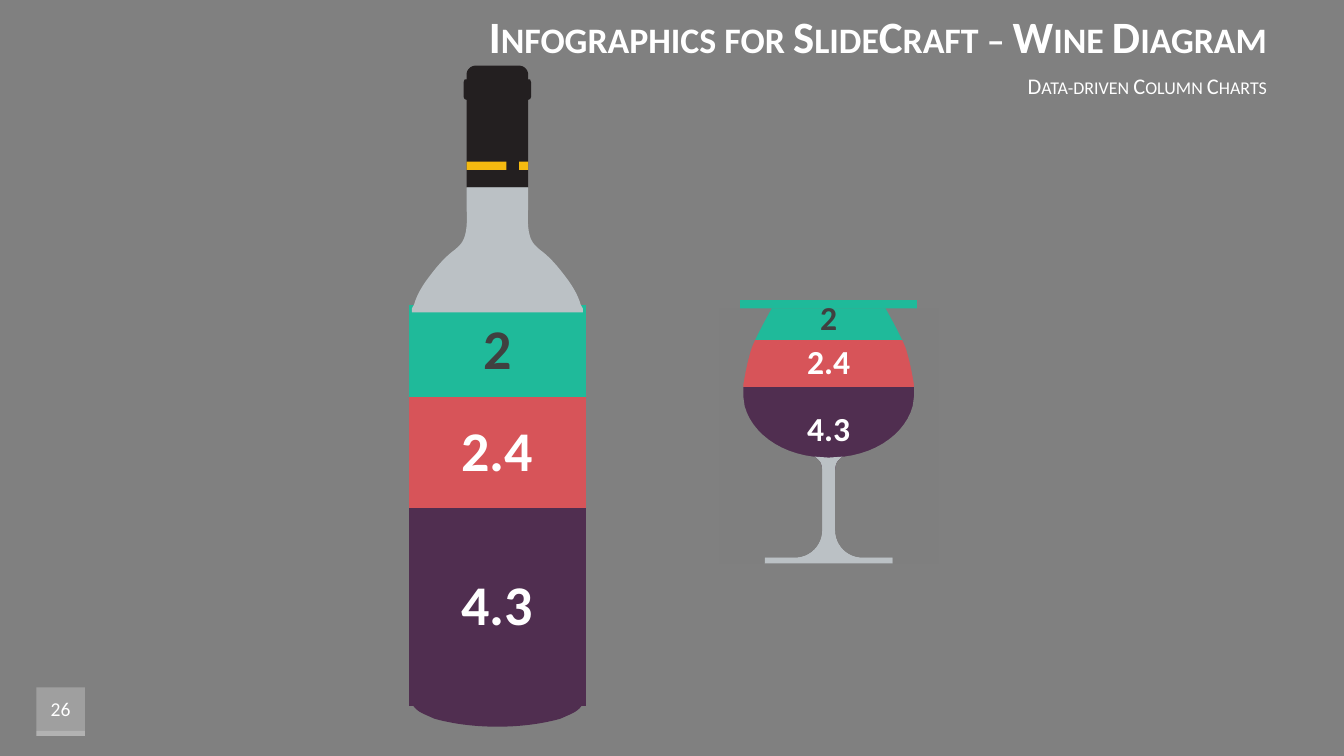
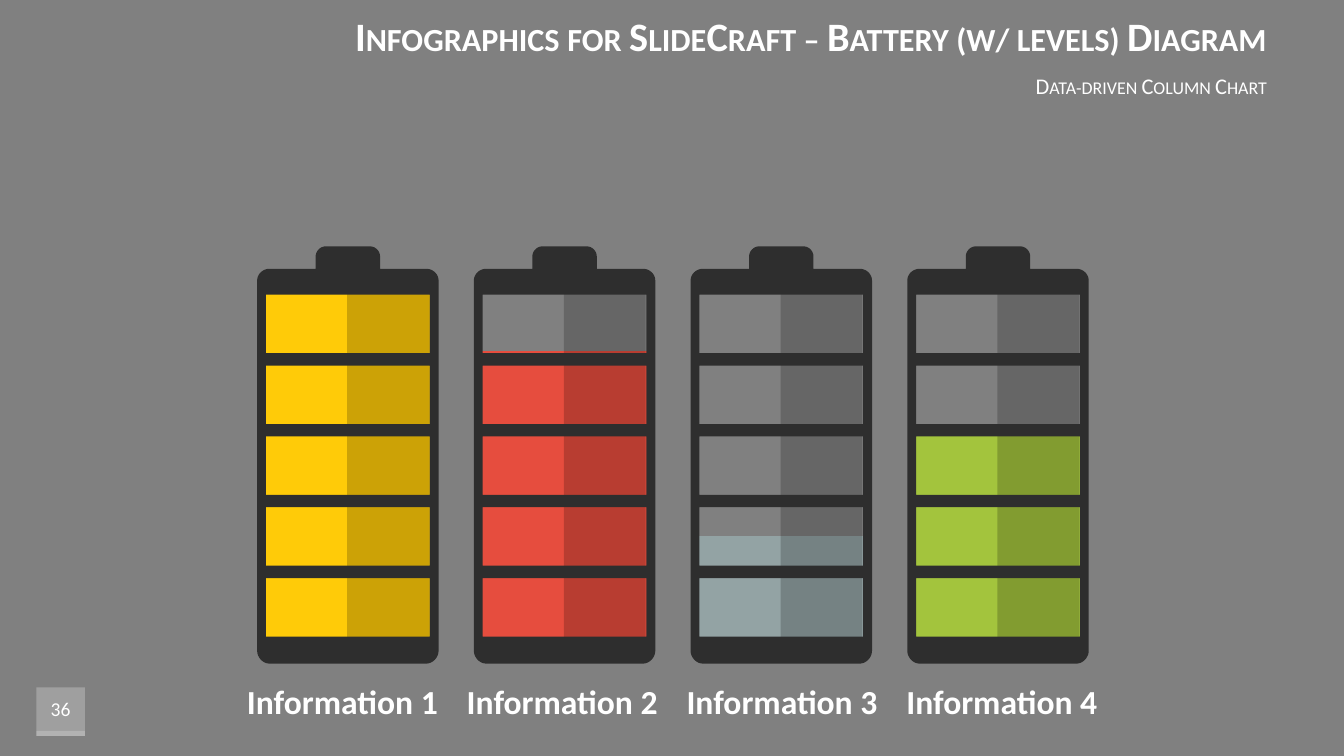
from lxml import etree
from pptx import Presentation
from pptx.chart import data
from pptx.dml.color import RGBColor
from pptx.enum import chart as charts, shapes, text
from pptx.oxml import ns
from pptx.util import Pt

COLORS = {
    "background": "808080", "white": "FFFFFF", "black": "000000",
    "plum": "502E50", "rose": "D75459", "teal": "1FBA9A", "dark_text": "404040",
    "glass": "BBC1C5", "glass_mask": "7F7F7F", "cap": "231F20", "gold": "F5BA10",
    "case": "2E2E2E", "yellow": "FFCB08", "red": "E64D3E", "slate": "93A3A4", "green": "A3C43D",
}
FONT = "Calibri"
WINE_SERIES = [
    ("Series 1", [4.3], "plum", "white"),
    ("Series 2", [2.4], "rose", "white"),
    ("Series 3", [2], "teal", "dark_text"),
]
BATTERIES = [("1", 100, "yellow"), ("2", 82, "red"), ("3", 30, "slate"), ("4", 60, "green")]

CAP = [(0, 0), (14.8, 0), (19.1, 0, 22, 2.9, 22, 6.5), (22, 10), (23.4, 10), (24.1, 12),
       (24.1, 22.5), (23.4, 24), (22, 24.5), (22, 87), (0, 87)]
SHOULDER = [(0, 87), (22, 87), (22, 101), (20.5, 124.6, 25.6, 127.4, 30.6, 131.8),
            (36.4, 136, 42, 142, 48, 150), (53.6, 157, 58, 165, 59.4, 170.6),
            (61, 173.5), (61, 176.4), (0, 176.4)]
BASE = [(0, 452), (61.5, 452), (61.5, 453), (61.5, 457, 58, 461, 51.5, 463.7),
        (45, 466.6), (32.8, 470, 17.6, 472.3, 0, 472.3)]
STEM = [(0, 115.2), (9.7, 114.5), (8.3, 116), (5.4, 118, 4.7, 121, 4.7, 124.6), (4.7, 167),
        (4.7, 177.8, 13.4, 186.5, 24.2, 186.5), (45.8, 186.5), (45.8, 190.8), (0, 190.8)]
BOWL = [(11, 114.5), (35.6, 111.6, 55, 97, 60, 78.5), (61, 71.3), (61, 63.4),
        (60, 57, 58, 46, 55, 36.7), (51.5, 28, 43.6, 13.7, 40.7, 8.6), (0, 8.6)]
CASE = [(0, 0), (15.8, 0), (20, 0, 23, 3.6, 23, 7.2), (23, 16), (56, 16),
        (60.5, 16, 64.8, 19.5, 64.8, 24.5), (64.8, 288.7),
        (64.8, 293.8, 60.5, 298, 56, 298), (0, 298)]


def color(name):
    """Return the named colour."""
    return RGBColor.from_string(COLORS[name])


def paint(shape, fill, opacity=None):
    """Give a shape a flat fill without line or shadow."""
    shape.shadow.inherit = False
    shape.line.fill.background()
    shape.fill.solid()
    shape.fill.fore_color.rgb = color(fill)
    if opacity is not None:
        tone = shape._element.spPr.find(".//" + ns.qn("a:srgbClr"))
        etree.SubElement(tone, ns.qn("a:alpha"), val=str(opacity * 1000))


def add_rectangle(slide, left, top, width, height, fill, opacity=None):
    """Add a flat rectangle."""
    shape = slide.shapes.add_shape(
        shapes.MSO_SHAPE.RECTANGLE, Pt(left), Pt(top), Pt(width), Pt(height))
    paint(shape, fill, opacity)


def add_text(slide, content, left, top, width, height, size=14, bold=False,
             align=text.PP_ALIGN.CENTER, small_caps=False, wrap=True):
    """Add one line of white text, centred vertically in its box."""
    box = slide.shapes.add_textbox(Pt(left), Pt(top), Pt(width), Pt(height))
    frame = box.text_frame
    frame.word_wrap = wrap
    frame.vertical_anchor = text.MSO_ANCHOR.MIDDLE
    paragraph = frame.paragraphs[0]
    paragraph.alignment = align
    run = paragraph.add_run()
    run.text = content
    run.font.name, run.font.size, run.font.bold = FONT, Pt(size), bold
    run.font.color.rgb = color("white")
    if small_caps:
        run._r.get_or_add_rPr().set("cap", "small")


def trace(segments, steps=12):
    """Turn points and cubic curves into a list of points."""
    points = []
    for segment in segments:
        if len(segment) == 2:
            points.append(segment)
            continue
        controls = [points[-1], segment[:2], segment[2:4], segment[4:]]
        for step in range(1, steps + 1):
            t = step / steps
            weights = ((1 - t) ** 3, 3 * t * (1 - t) ** 2, 3 * t * t * (1 - t), t ** 3)
            points.append(tuple(
                sum(w * control[axis] for w, control in zip(weights, controls))
                for axis in (0, 1)))
    return points


def add_symmetric(slide, axis, top, half, fill, holes=()):
    """Add an outline from its right half, mirrored on the axis, with optional holes."""
    outline = half + [(-x, y) for x, y in reversed(half)]
    builder = None
    for contour in [outline, *holes]:
        points = [(Pt(axis + x), Pt(top + y)) for x, y in contour]
        if builder is None:
            builder = slide.shapes.build_freeform(*points[0])
        else:
            builder.move_to(*points[0])
        builder.add_line_segments(points[1:], close=True)
    paint(builder.convert_to_shape(), fill)


def add_columns(slide, left, top, width, height, kind, categories, series,
                layout, gap, overlap, label_size=None):
    """Add a column chart without axes and return its plot."""
    chart_data = data.CategoryChartData()
    chart_data.categories = categories
    for name, values, *_ in series:
        chart_data.add_series(name, values)
    chart = slide.shapes.add_chart(
        kind, Pt(left), Pt(top), Pt(width), Pt(height), chart_data).chart
    chart.has_legend = chart.has_title = False
    chart.font.name, chart.font.size = FONT, Pt(10)
    chart.font.color.rgb = color("black")
    for axis in (chart.category_axis, chart.value_axis):
        axis.has_major_gridlines = False
        axis.visible = False
    plot = chart.plots[0]
    plot.vary_by_categories = False
    plot.gap_width, plot.overlap = gap, overlap
    for column, (_, _, fill, label) in zip(plot.series, series):
        column.format.fill.solid()
        column.format.fill.fore_color.rgb = color(fill)
        if label_size:
            labels = column.data_labels
            labels.show_value = True
            labels.font.name, labels.font.size, labels.font.bold = FONT, Pt(label_size), True
            labels.font.color.rgb = color(label)
    set_plot_layout(chart, layout)
    return chart


def set_plot_layout(chart, fractions):
    """Fix the inner plot area as fractions of the chart."""
    area = chart._chartSpace.find(".//" + ns.qn("c:plotArea"))
    for old in area.findall(ns.qn("c:layout")):
        area.remove(old)
    layout = etree.Element(ns.qn("c:layout"))
    manual = etree.SubElement(layout, ns.qn("c:manualLayout"))
    settings = [("layoutTarget", "inner"), ("xMode", "edge"), ("yMode", "edge")]
    settings += zip("xywh", fractions)
    for tag, value in settings:
        etree.SubElement(manual, ns.qn("c:" + tag), val=str(value))
    area.insert(0, layout)


def add_base_slide(presentation, title, subtitle, number, title_size):
    """Add a slide with background, heading and page badge."""
    slide = presentation.slides.add_slide(presentation.slide_layouts[6])
    slide.background.fill.solid()
    slide.background.fill.fore_color.rgb = color("background")
    add_rectangle(slide, 26, 491, 34.6, 34.6, "white", 25)
    add_rectangle(slide, 26, 522, 34.6, 3.6, "white", 20)
    add_text(slide, number, 20.6, 491, 45.4, 31)
    right = text.PP_ALIGN.RIGHT
    add_text(slide, title, 162.5, 1, 749.5, 49, size=title_size, bold=True,
             align=right, small_caps=True)
    add_text(slide, subtitle, 162.5, 50, 749.5, 22, size=16, align=right, small_caps=True)
    return slide


def add_wine_chart(slide, left, top, width, height, label_size):
    """Add the stacked chart that fills a wine vessel."""
    add_columns(slide, left, top, width, height, charts.XL_CHART_TYPE.COLUMN_STACKED_100,
                ["1"], WINE_SERIES, (0.02, 0.02, 0.96, 0.96), 150, 100, label_size)


def add_bottle(slide, left, top, width, height):
    """Add the wine bottle, with its chart in the lower part of the box."""
    axis, chart_top = left + width / 2, 165
    add_wine_chart(slide, left, top + chart_top, width, height - chart_top, 40)
    add_symmetric(slide, axis, top, trace(CAP), "cap")
    for offset, band_width in ((-22, 28.5), (15.5, 6.5)):
        add_rectangle(slide, axis + offset, top + 68.6, band_width, 6, "gold")
    add_symmetric(slide, axis, top, trace(BASE), "plum")
    add_symmetric(slide, axis, top, trace(SHOULDER), "glass")


def add_wine_glass(slide, left, top, width, height):
    """Add the wine glass, whose mask trims the chart to the bowl."""
    axis = left + width / 2
    stem = trace(STEM)
    mask = [(0, 8.6), (78.3, 8.6), (78.3, 190.8)] + stem[-2:0:-1] + trace(BOWL)
    add_wine_chart(slide, left, top, width, height, 24)
    add_symmetric(slide, axis, top, stem, "glass")
    add_symmetric(slide, axis, top, mask, "glass_mask")


def add_battery(slide, left, top, width):
    """Add a battery case with five windows and a shaded right half."""
    axis = left + width / 2
    tops = [34.5 + 50.6 * row for row in range(5)]
    windows = [[(-58.5, y), (-58.5, y + 41.8), (58.5, y + 41.8), (58.5, y)] for y in tops]
    add_rectangle(slide, axis - 0.5, top + 23, 58.5, 269, "black", 20)
    add_symmetric(slide, axis, top, trace(CASE), "case", windows)


def add_battery_row(slide, left, top, width, height):
    """Add the level chart, the battery cases and their labels."""
    names, levels, fills = zip(*BATTERIES)
    chart = add_columns(slide, left, top, width, height, charts.XL_CHART_TYPE.COLUMN_CLUSTERED,
                        names, [("Series 1", levels, "green", None)],
                        (0.017, 0.256, 0.966, 0.703), 28, -27)
    chart.value_axis.minimum_scale, chart.value_axis.maximum_scale = 0, 100
    for index, (name, fill) in enumerate(zip(names, fills)):
        point = chart.plots[0].series[0].points[index].format.fill
        point.solid()
        point.fore_color.rgb = color(fill)
        add_battery(slide, left + 23.7 + 154.8 * index, top + 64.4, 129.6)
        add_text(slide, f"Information {name}", left + 8.6 + 157 * index, top + height + 8.5,
                 152, 36, size=24, bold=True, wrap=False)


def main():
    """Build both slides and save the presentation."""
    presentation = Presentation()
    presentation.slide_width, presentation.slide_height = Pt(960), Pt(540)
    wine = add_base_slide(presentation, "Infographics for SlideCraft – Wine Diagram",
                          "Data-driven Column Charts", "26", 32)
    add_wine_glass(wine, 427, 211.7, 329.8, 128.9)
    add_bottle(wine, 190.8, 46.8, 329, 463.7)
    battery = add_base_slide(
        presentation, "Infographics for SlideCraft – Battery (w/ levels) Diagram",
        "Data-driven Column Chart", "36", 28.8)
    add_battery_row(battery, 160, 111.6, 640, 363)
    presentation.save("out.pptx")


if __name__ == "__main__":
    main()
